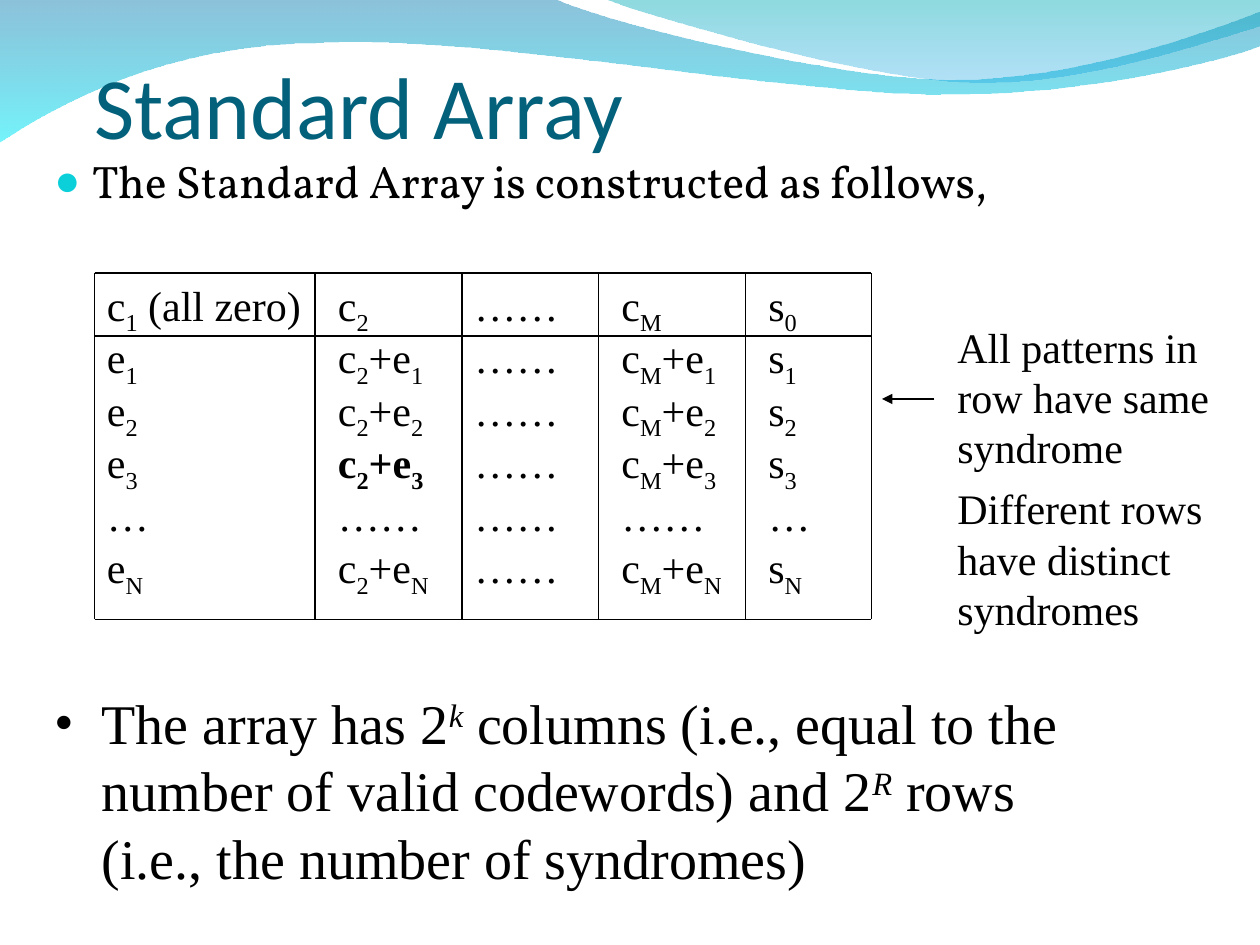
from dataclasses import dataclass

from lxml.etree import SubElement as Sub
from pptx import Presentation
from pptx.dml.color import RGBColor as Rgb
from pptx.enum.shapes import MSO_CONNECTOR as Link
from pptx.enum.text import MSO_ANCHOR as Anchor
from pptx.oxml.ns import qn
from pptx.util import Pt


@dataclass(frozen=True)
class Theme:
    ink: str = "000000"
    title: str = "04617B"
    dot: str = "0BD0D9"
    wave: tuple = (("0079AF", 45), ("00EBF8", 55))
    crest: tuple = (("00ADB6", 45), ("009BE5", 30))
    head: str = "Calibri"
    lead: str = "Vollkorn"
    body: str = "Times New Roman"
    big: int = 50
    large: int = 32
    mid: int = 26
    small: int = 24
    rule: float = 0.75


T = Theme()

WAVE = [
    [(316.8, -0.7)],
    [(342.7, 12.2), (478.1, 45.4), (545.8, 45.4)],
    [(614.2, 45.4), (689.8, 18.7), (720, 6.5)],
    [(720.7, 25.9)],
    [(707.8, 31.7), (626.4, 54.7), (537.1, 54)],
    [(447.1, 54), (275, 20.2), (185, 24.5)],
    [(92.9, 25.2), (33.1, 59.8), (-0.7, 81.4)],
]
CREST = [
    [(366.5, 7.9), (491, 44.6), (553.7, 46.8)],
    [(616.3, 49.7), (691.9, 23), (720, 15.1)],
    [(720, -0.7)],
]
HEAD = ["c_1 (all zero)", "c_2", "……", "c_M", "s_0"]
ROWS = [HEAD] + [
    [f"e_{n}", f"c_2+e_{n}", "……", f"c_M+e_{n}", f"s_{n}"] for n in "123"
] + [
    ["…", "……", "……", "……", "…"],
    ["e_N", "c_2+e_N", "……", "c_M+e_N", "s_N"],
]
NOTES = [
    "All patterns in row have same syndrome",
    "Different rows have distinct syndromes",
]


def curve(shape, parts):
    nodes = iter(list(shape.element.iter(qn("a:lnTo"))))
    for part in parts:
        group = [next(nodes) for point in part]
        if len(group) == 3:
            group[0].tag = qn("a:cubicBezTo")
            for node in group[1:]:
                group[0].append(node[0])
                node.getparent().remove(node)


def ribbon(slide, box, start, parts, stops):
    left, top = box
    pts = [start] + [point for part in parts for point in part]
    pts = [(Pt(left + x), Pt(top + y)) for x, y in pts]
    pen = slide.shapes.build_freeform(*pts[0])
    pen.add_line_segments(pts[1:], close=True)
    shape = pen.convert_to_shape()
    curve(shape, parts)
    shape.shadow.inherit = False
    shape.line.fill.background()
    shape.fill.gradient()
    shape.fill.gradient_angle = 270
    for stop, (tint, alpha) in zip(shape.fill.gradient_stops, stops):
        stop.color.rgb = Rgb.from_string(tint)
    tints = shape.element.spPr.iter(qn("a:srgbClr"))
    for node, (tint, alpha) in zip(tints, stops):
        Sub(node, qn("a:alpha"), val=str(alpha * 1000))


def style(par, face, size, tint=T.ink, bold=None):
    font = par.font
    font.name, font.size, font.bold = face, Pt(size), bold
    font.color.rgb = Rgb.from_string(tint)


def write(par, text, mark, shift, slant=None):
    first, *rest = text.split(mark)
    par.add_run().text = first
    for part in rest:
        run = par.add_run()
        run.text = part[0]
        run.font.italic = slant
        run._r.get_or_add_rPr().set("baseline", str(shift * 1000))
        if part[1:]:
            par.add_run().text = part[1:]


def label(slide, box):
    frame = slide.shapes.add_textbox(*map(Pt, box)).text_frame
    frame.word_wrap = True
    return frame


def rule(slide, ends, head=False):
    line = slide.shapes.add_connector(Link.STRAIGHT, *map(Pt, ends))
    line.line.color.rgb = Rgb.from_string(T.ink)
    line.line.width = Pt(T.rule)
    if head:
        Sub(line.line._get_or_add_ln(), qn("a:tailEnd"), type="triangle")
    Sub(line.element.spPr, qn("a:effectLst"))


def bullet(par, char, tint, indent, scale=100):
    props = par._p.get_or_add_pPr()
    props.set("marL", str(Pt(indent)))
    props.set("indent", str(-Pt(indent)))
    Sub(Sub(props, qn("a:buClr")), qn("a:srgbClr"), val=tint)
    Sub(props, qn("a:buSzPct"), val=str(scale * 1000))
    Sub(props, qn("a:buFont"), typeface=T.body)
    Sub(props, qn("a:buChar"), char=char)


def title(slide, box):
    frame = label(slide, box)
    frame.margin_left = frame.margin_right = frame.margin_bottom = 0
    frame.vertical_anchor = Anchor.BOTTOM
    par = frame.paragraphs[0]
    par.text = "Standard Array"
    style(par, T.head, T.big, T.title)


def intro(slide, box):
    par = label(slide, box).paragraphs[0]
    par.text = "The Standard Array is constructed as follows,"
    bullet(par, "●", T.dot, 21.6, 95)
    style(par, T.lead, T.mid)


def array(slide, box):
    left, top, width, high = box
    for x in (0, 126, 210, 288, 372, width):
        rule(slide, (left + x, top, left + x, top + high))
    for y in (0, 36, high):
        rule(slide, (left, top + y, left + width, top + y))
    starts = [0, 132, 210, 294, 378]
    heads, wides = [156, 54, 72, 54, 60], [54, 78, 78, 78, 54]
    for r, row in enumerate(ROWS):
        for c, (x, text) in enumerate(zip(starts, row)):
            wide = wides[c] if r else heads[c]
            tall = 40.3 if "_" in text else 36
            frame = label(slide, (left + x, top + 30 * r, wide, tall))
            par = frame.paragraphs[0]
            write(par, text, "_", -25)
            style(par, T.body, T.small, bold=(r, c) == (3, 1) or None)


def notes(slide, box):
    left, top, width, high = box
    y = top + 48
    rule(slide, (left - 6, y, left - 36, y), head=True)
    for n, text in enumerate(NOTES):
        par = label(slide, (left, top + n * 92.4, width, high)).paragraphs[0]
        par.text = text
        style(par, T.body, T.small)


def size(slide, box):
    par = label(slide, box).paragraphs[0]
    bullet(par, "•", T.ink, 27)
    write(par, "The array has 2^k columns (i.e., equal to the number of valid "
          "codewords) and 2^R rows (i.e., the number of syndromes)", "^", 30, True)
    style(par, T.body, T.large)


def main():
    deck = Presentation()
    deck.slide_width, deck.slide_height = Pt(720), Pt(540)
    slide = deck.slides.add_slide(deck.slide_layouts[6])
    ribbon(slide, (0, 0), (0, -0.7), WAVE, T.wave)
    ribbon(slide, (0, 0), (344.9, -0.7), CREST, T.crest)
    title(slide, (54, 0, 612, 90))
    intro(slide, (24, 84, 672, 324))
    array(slide, (54, 156, 444, 198))
    notes(slide, (540, 180, 180, 93.6))
    size(slide, (24, 390, 612, 120))
    deck.save("out.pptx")


if __name__ == "__main__":
    main()
